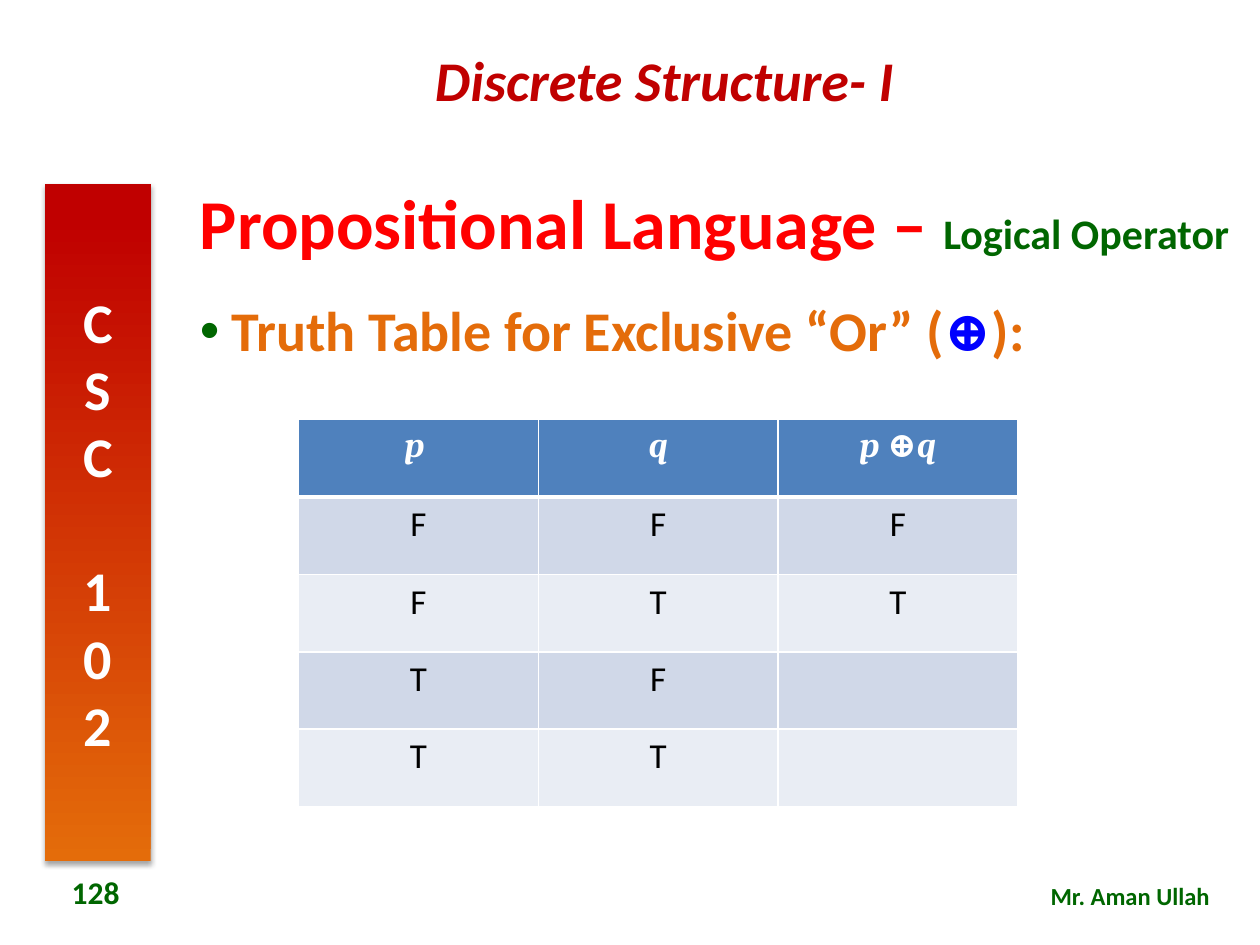
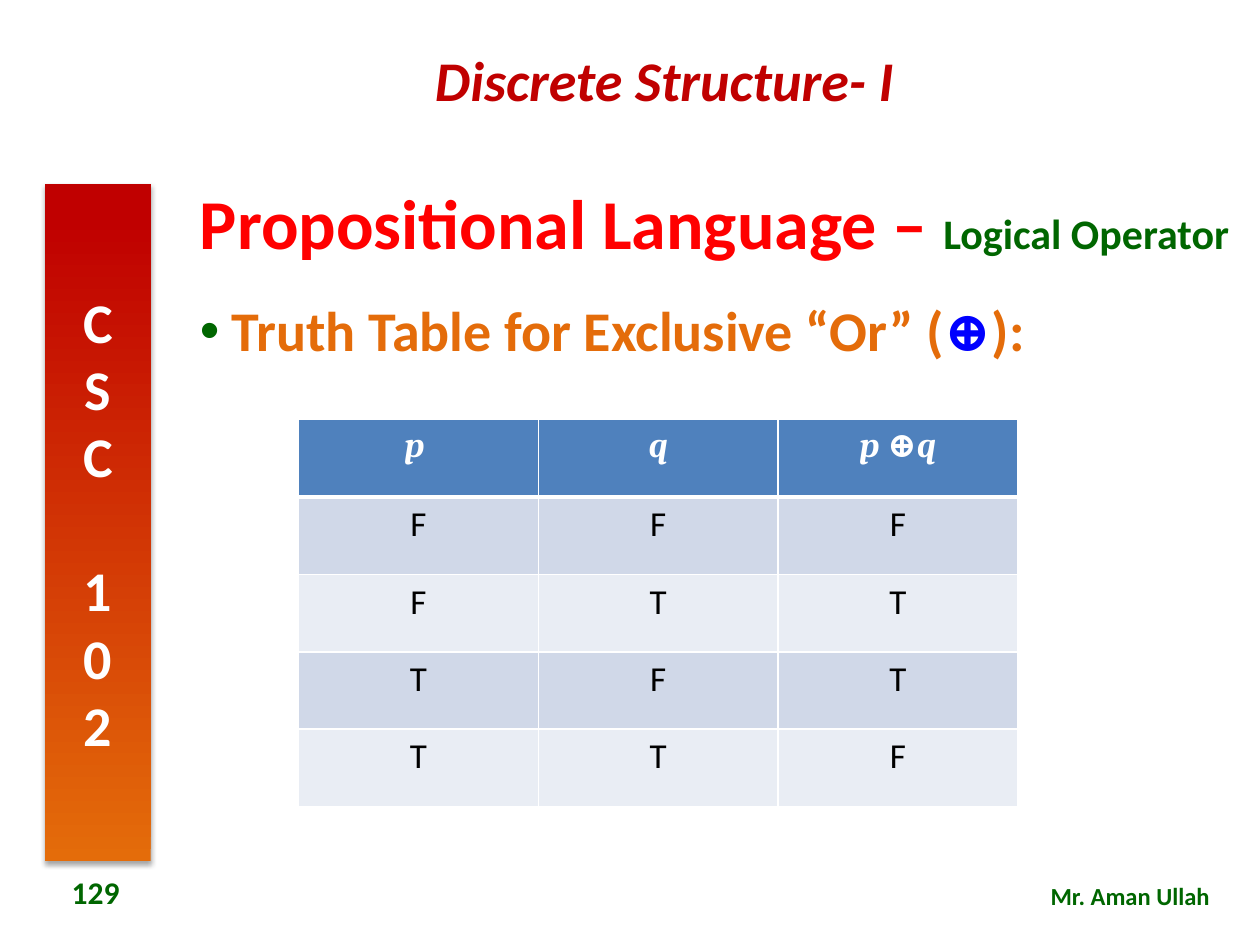
from lxml.etree import SubElement
from pptx import Presentation
from pptx.dml.color import RGBColor
from pptx.enum.shapes import MSO_SHAPE
from pptx.enum.text import MSO_ANCHOR, PP_ALIGN
from pptx.oxml.ns import qn
from pptx.util import Cm, Pt

# Content
COURSE = "Discrete Structure- I"
COURSE_CODE = "CSC 102"
AUTHOR = "Mr. Aman Ullah"
INPUTS = [("F", "F"), ("F", "T"), ("T", "F"), ("T", "T")]
SLIDES = [
    {"number": "128", "results": ["F", "T", "", ""]},
    {"number": "129", "results": ["F", "T", "T", "F"]},
]

# Colours and text formats
RED, GREEN, ORANGE, WHITE = "C00000", "006600", "E46C0A", "FFFFFF"
HEADER_FILL, ROW_FILLS = "4F81BD", ("D0D8E8", "E9EDF4")


def text_format(size, color, name="Calibri", bold=True, italic=False):
    return {"size": Pt(size), "color": color, "name": name,
            "bold": bold, "italic": italic}


COURSE_TEXT = text_format(32, RED, italic=True)
BAND_TEXT = text_format(32, WHITE)
AUTHOR_TEXT = text_format(14, GREEN)
NUMBER_TEXT = text_format(18, GREEN)
BULLET_TEXT = text_format(32, ORANGE)
HEADER_TEXT = text_format(20, WHITE, "Cambria", italic=True)
HEADER_SYMBOL = text_format(20, WHITE, "Cambria")
VALUE_TEXT = text_format(20, "000000", bold=False)

TITLE = [("Propositional Language – ", text_format(40, "FF0000")),
         ("Logical Operator", text_format(24, GREEN))]
BULLET = [("Truth Table for Exclusive “Or” (", BULLET_TEXT),
          ("⊕", text_format(32, "0000FF", "Cambria")),
          ("):", BULLET_TEXT)]
HEADERS = [[("p ", HEADER_TEXT)],
           [("q", HEADER_TEXT)],
           [("p ", HEADER_TEXT), ("⊕", HEADER_SYMBOL), ("q", HEADER_TEXT)]]

# Places in centimetres: left, top, width, height
COURSE_AT = (5.36, 0.79, 16.08, 1.63)
BAND_AT = (0.91, 3.71, 2.13, 13.64)
AUTHOR_AT = (17.27, 17.63, 7.37, 0.86)
TITLE_AT = (3.78, 3.45, 21.31, 2.26)
BODY_AT = (3.78, 5.99, 21.31, 11.18)
NUMBER_AT = (0.61, 17.48, 2.64, 1.02)
TABLE_AT = (6.02, 8.46, 14.5, 7.8)


def rgb(color):
    return RGBColor.from_string(color)


def place(at):
    return [Cm(length) for length in at]


def write(para, spans, align=PP_ALIGN.CENTER, line_spacing=None):
    para.alignment = align
    para.line_spacing = line_spacing
    for text, style in spans:
        span = para.add_run()
        span.text = text
        for key, value in style.items():
            if key == "color":
                span.font.color.rgb = rgb(value)
            else:
                setattr(span.font, key, value)


def add_text(page, at, spans, anchor=MSO_ANCHOR.TOP, **layout):
    box = page.shapes.add_textbox(*place(at))
    box.text_frame.word_wrap = True
    box.text_frame.vertical_anchor = anchor
    para = box.text_frame.paragraphs[0]
    write(para, spans, **layout)
    return para


def add_bullet(para, color):
    properties = para._p.get_or_add_pPr()
    properties.set("marL", str(Cm(0.64)))
    properties.set("indent", str(-Cm(0.64)))
    bullet_color = SubElement(properties, qn("a:buClr"))
    SubElement(bullet_color, qn("a:srgbClr"), val=color)
    SubElement(properties, qn("a:buFont"), typeface="Arial")
    SubElement(properties, qn("a:buChar"), char="•")


def add_band(page):
    band = page.shapes.add_shape(MSO_SHAPE.RECTANGLE, *place(BAND_AT))
    band.line.fill.background()
    band.fill.gradient()
    band.fill.gradient_angle = 90
    stops = [(0, ORANGE), (0.95, RED)]
    for stop, (position, color) in zip(band.fill.gradient_stops, stops):
        stop.position = position
        stop.color.rgb = rgb(color)

    # Soft shadow below the band
    band.shadow.inherit = False
    effects = band._element.spPr.find(qn("a:effectLst"))
    shadow = SubElement(effects, qn("a:outerShdw"), blurRad=str(Pt(3.1)),
                        dist=str(Pt(1.8)), dir="5400000", rotWithShape="0")
    shadow_color = SubElement(shadow, qn("a:srgbClr"), val="000000")
    SubElement(shadow_color, qn("a:alpha"), val="35000")

    # Stacked upright letters
    frame = band.text_frame
    frame.vertical_anchor = MSO_ANCHOR.MIDDLE
    frame._txBody.bodyPr.set("vert", "wordArtVert")
    write(frame.paragraphs[0], [(COURSE_CODE, BAND_TEXT)])


def format_cell(cell, fill, top, bottom):
    properties = cell._tc.get_or_add_tcPr()
    for side, width in (("lnL", 1), ("lnR", 1), ("lnT", top), ("lnB", bottom)):
        line = SubElement(properties, qn(f"a:{side}"), w=str(Pt(width)))
        paint = SubElement(line, qn("a:solidFill"))
        SubElement(paint, qn("a:srgbClr"), val=WHITE)
    cell.fill.solid()
    cell.fill.fore_color.rgb = rgb(fill)


def add_truth_table(page, results):
    rows = [HEADERS]
    for inputs, result in zip(INPUTS, results):
        rows.append([[(value, VALUE_TEXT)] if value else []
                     for value in (*inputs, result)])
    table = page.shapes.add_table(len(rows), len(HEADERS), *place(TABLE_AT)).table
    for row_index, row in enumerate(rows):
        fill = ROW_FILLS[(row_index - 1) % 2] if row_index else HEADER_FILL
        top = 3 if row_index == 1 else 1
        bottom = 3 if row_index == 0 else 1
        for column_index, spans in enumerate(row):
            cell = table.cell(row_index, column_index)
            format_cell(cell, fill, top, bottom)
            write(cell.text_frame.paragraphs[0], spans)


def add_page(deck, number, results):
    page = deck.slides.add_slide(deck.slide_layouts[6])
    # Shared frame
    add_text(page, COURSE_AT, [(COURSE, COURSE_TEXT)])
    add_band(page)
    add_text(page, AUTHOR_AT, [(AUTHOR, AUTHOR_TEXT)], align=PP_ALIGN.RIGHT)
    # Topic
    add_text(page, TITLE_AT, TITLE, MSO_ANCHOR.MIDDLE,
             align=PP_ALIGN.LEFT, line_spacing=0.9)
    para = add_text(page, BODY_AT, BULLET,
                    align=PP_ALIGN.JUSTIFY, line_spacing=0.9)
    add_bullet(para, GREEN)
    add_text(page, NUMBER_AT, [(number, NUMBER_TEXT)], MSO_ANCHOR.MIDDLE)
    add_truth_table(page, results)


def main():
    deck = Presentation()
    deck.slide_width, deck.slide_height = Cm(25.4), Cm(19.05)
    for content in SLIDES:
        add_page(deck, **content)
    deck.save("out.pptx")


if __name__ == "__main__":
    main()
